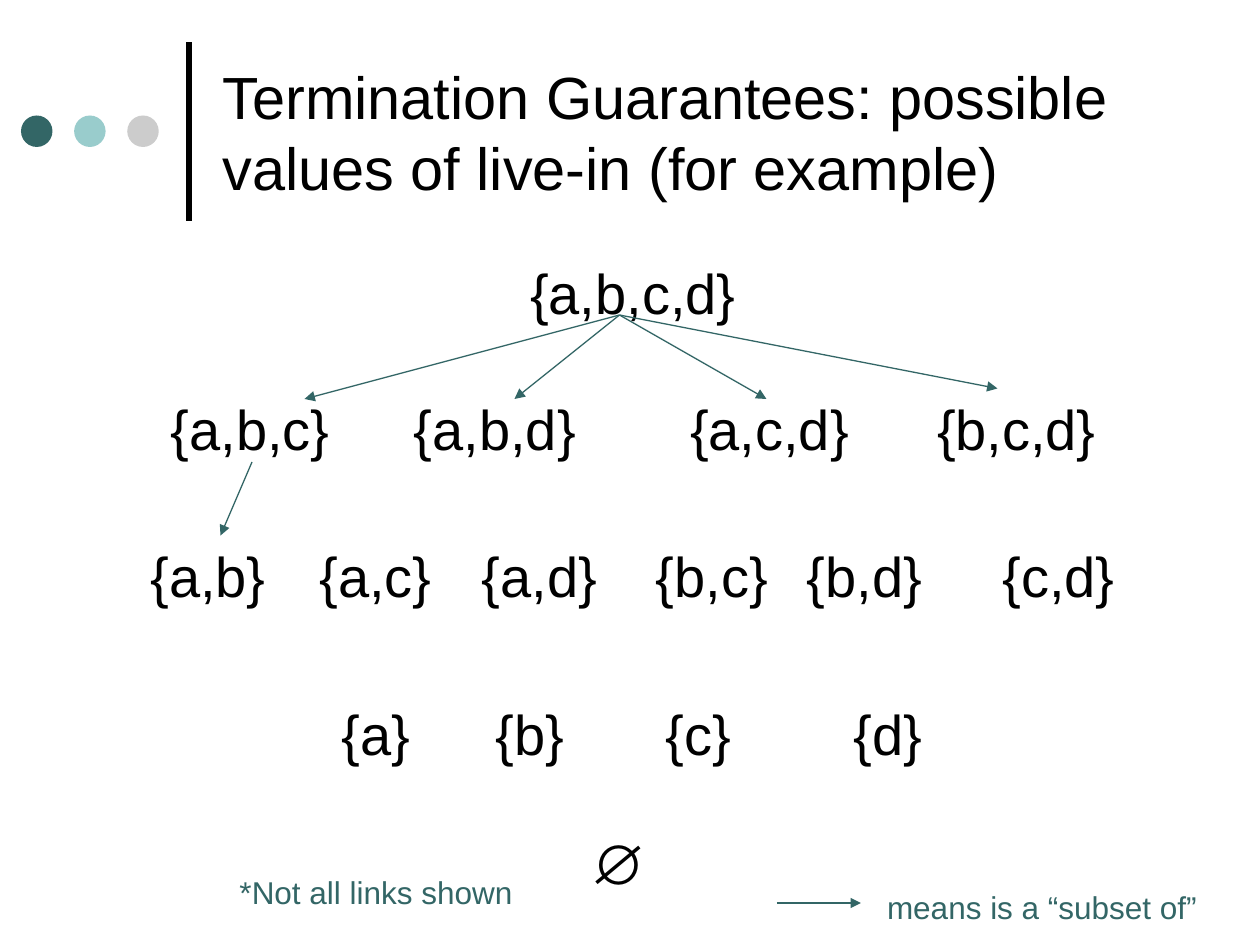
from dataclasses import dataclass

from lxml.etree import SubElement
from pptx import Presentation
from pptx.dml.color import RGBColor
from pptx.enum.shapes import MSO_CONNECTOR, MSO_SHAPE
from pptx.enum.text import MSO_ANCHOR, MSO_AUTO_SIZE, PP_ALIGN
from pptx.oxml.ns import qn
from pptx.slide import Slide
from pptx.text.text import TextFrame
from pptx.util import Inches, Length, Pt


@dataclass(frozen=True)
class Theme:
    font: str = "Arial"
    ink: str = "000000"
    accent: str = "336666"
    dots: tuple[str, ...] = ("336666", "99CCCC", "CCCCCC")
    title_size: float = 34
    set_size: float = 32
    note_size: float = 18
    rule_width: float = 3
    arrow_width: float = 0.75


@dataclass(frozen=True)
class Label:
    text: str
    left: float
    top: float
    width: float
    height: float
    size: float
    color: str


@dataclass(frozen=True)
class Line:
    start: tuple[float, float]
    end: tuple[float, float]
    color: str
    width: float
    arrow: bool = True


THEME = Theme()
CELLS_PER_INCH = 12
SET_HEIGHT = 7.68
NOTE_HEIGHT = 4.8
BOX_PADDING = 2.4
GLYPH_EMS = {"{": 0.34, "}": 0.34, ",": 0.28, "c": 0.51, "∅": 0.79}
LETTER_EMS = 0.56

LATTICE = {
    24: {"{a,b,c,d}": 49.2},
    37: {"{a,b,c}": 15, "{a,b,d}": 38.16, "{a,c,d}": 64.44, "{b,c,d}": 87.96},
    51: {"{a,b}": 13.08, "{a,c}": 29.16, "{a,d}": 44.64,
         "{b,c}": 61.2, "{b,d}": 75.6, "{c,d}": 94.2},
    66: {"{a}": 31.32, "{b}": 45.96, "{c}": 62.16, "{d}": 80.04},
    78.36: {"∅": 55.08},
}
TOP_SET = (59, 30)
LINKS = [(TOP_SET, end) for end in ((29, 38), (49, 38), (73, 38), (95, 37))]
LINKS += [((24, 44), (21, 51)), ((74, 86), (82, 86))]
NOTES = [
    Label("means is a “subset of”", 83.28, 84, 31.92, NOTE_HEIGHT, THEME.note_size, THEME.accent),
    Label("*Not all links shown", 21.6, 82.56, 28.44, NOTE_HEIGHT, THEME.note_size, THEME.accent),
]


def cells(count: float) -> Length:
    return Inches(count / CELLS_PER_INCH)


def set_width(text: str) -> float:
    ems = sum(GLYPH_EMS.get(glyph, LETTER_EMS) for glyph in text)
    return ems * THEME.set_size / 72 * CELLS_PER_INCH + BOX_PADDING


def write(frame: TextFrame, text: str, size: float, color: str, align: PP_ALIGN) -> None:
    frame.text = text
    para = frame.paragraphs[0]
    para.alignment = align
    for span in para.runs:
        span.font.name = THEME.font
        span.font.size = Pt(size)
        span.font.color.rgb = RGBColor.from_string(color)


def draw_title(slide: Slide, text: str) -> None:
    title = slide.shapes.title
    title.left, title.top = cells(20), cells(2.5)
    title.width, title.height = cells(92), cells(20)
    frame = title.text_frame
    frame.auto_size = MSO_AUTO_SIZE.NONE
    frame.word_wrap = True
    frame.vertical_anchor = MSO_ANCHOR.MIDDLE
    write(frame, text, THEME.title_size, THEME.ink, PP_ALIGN.LEFT)


def draw_dot(slide: Slide, column: float, color: str) -> None:
    dot = slide.shapes.add_shape(MSO_SHAPE.OVAL, cells(column), cells(11), cells(3), cells(3))
    dot.shadow.inherit = False
    dot.fill.solid()
    dot.fill.fore_color.rgb = RGBColor.from_string(color)
    dot.line.fill.background()


def draw_label(slide: Slide, label: Label) -> None:
    box = slide.shapes.add_textbox(
        cells(label.left), cells(label.top), cells(label.width), cells(label.height))
    frame = box.text_frame
    frame.word_wrap = False
    frame.auto_size = MSO_AUTO_SIZE.SHAPE_TO_FIT_TEXT
    write(frame, label.text, label.size, label.color, PP_ALIGN.CENTER)


def draw_line(slide: Slide, line: Line) -> None:
    connector = slide.shapes.add_connector(
        MSO_CONNECTOR.STRAIGHT, *map(cells, line.start + line.end))
    connector.line.color.rgb = RGBColor.from_string(line.color)
    connector.line.width = Pt(line.width)
    if line.arrow:
        SubElement(connector.line._get_or_add_ln(), qn("a:tailEnd"), type="triangle")
    SubElement(connector._element.spPr, qn("a:effectLst"))


def main() -> None:
    deck = Presentation()
    deck.slide_width, deck.slide_height = cells(120), cells(90)
    page = deck.slides.add_slide(deck.slide_layouts[5])
    draw_line(page, Line((18, 21), (18, 4), THEME.ink, THEME.rule_width, arrow=False))
    for index, color in enumerate(THEME.dots):
        draw_dot(page, 2 + 5.06 * index, color)
    draw_title(page, "Termination Guarantees: possible values of live-in (for example)")
    for row, subsets in LATTICE.items():
        for text, column in subsets.items():
            draw_label(page, Label(text, column, row, set_width(text), SET_HEIGHT,
                                   THEME.set_size, THEME.ink))
    for start, end in LINKS:
        draw_line(page, Line(start, end, THEME.accent, THEME.arrow_width))
    for note in NOTES:
        draw_label(page, note)
    deck.save("out.pptx")


if __name__ == "__main__":
    main()
